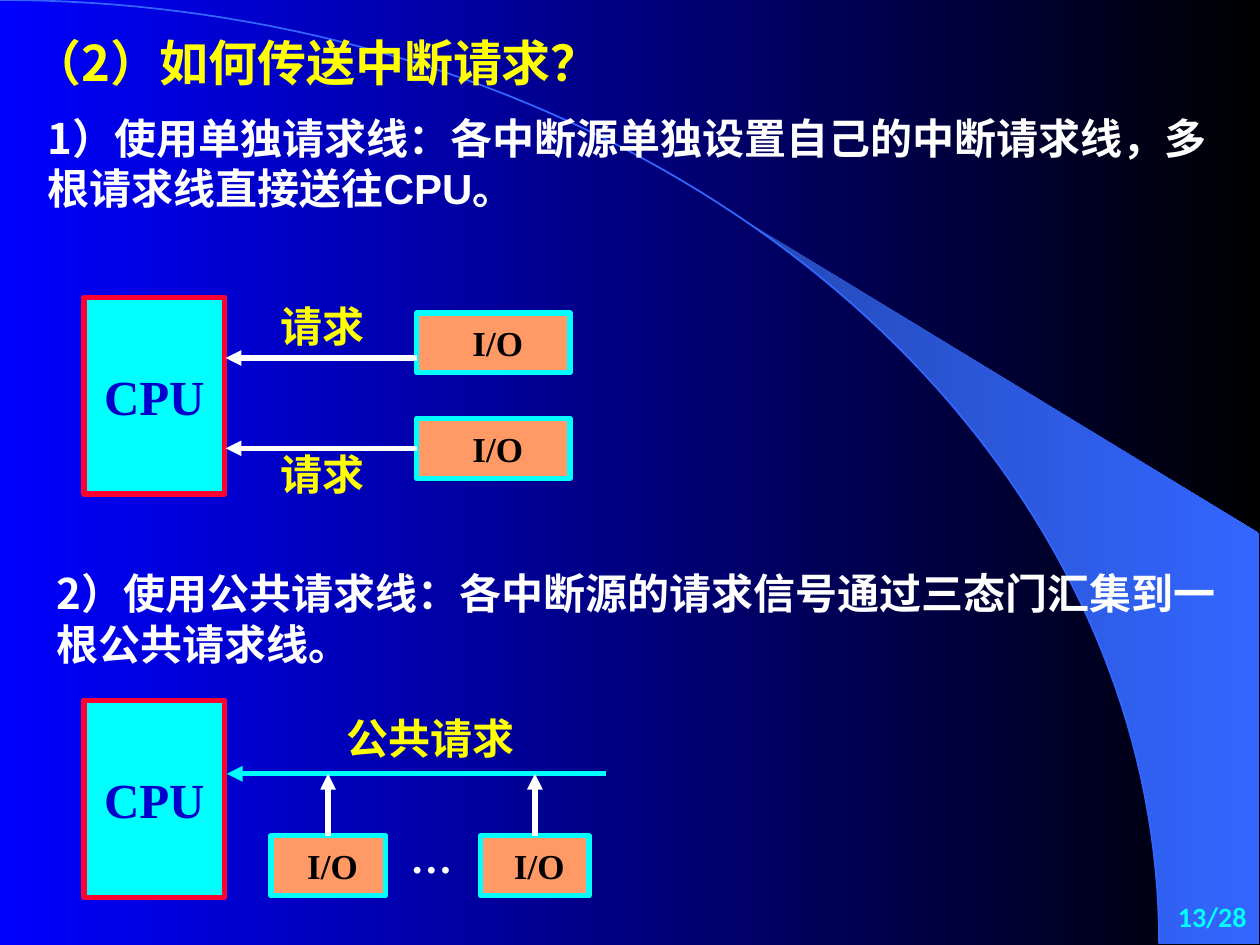
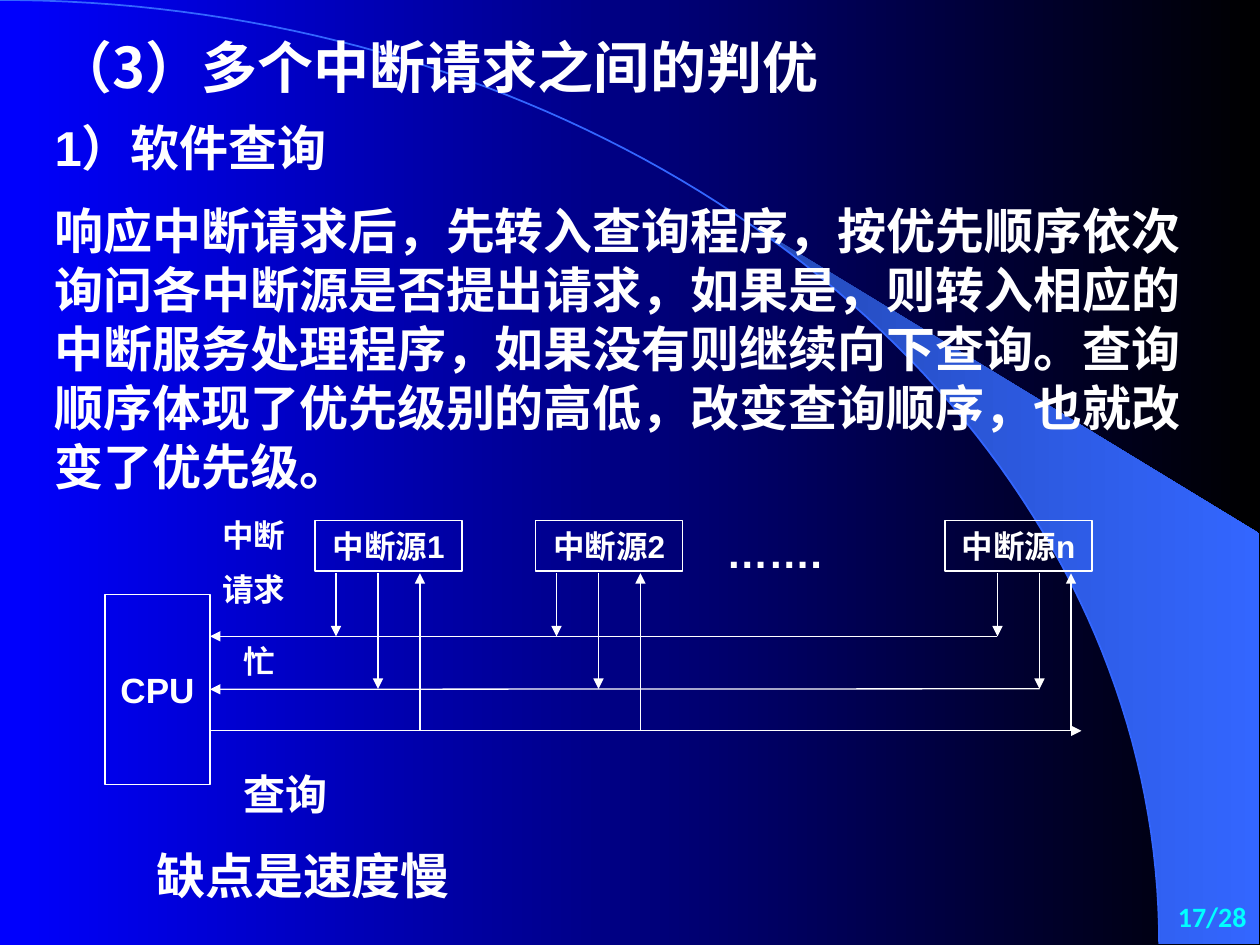
"""Builds two slides on sending interrupt requests and ranking them."""
import dataclasses
import math
from typing import Optional

import lxml.etree
import pptx
import pptx.dml.color
import pptx.enum.shapes
import pptx.enum.text
import pptx.oxml.ns
import pptx.util

COLUMNS, ROWS = 120, 90
UNIT = pptx.util.Inches(10) / COLUMNS
WHITE, YELLOW, CYAN, BLACK = "FFFFFF", "FFFF00", "00FFFF", "000000"
RED, ORANGE, NAVY, SKY = "FF0033", "FF9966", "0000CC", "3366FF"
CJK, SANS, SERIF = "Noto Sans CJK SC", "Arial", "Times New Roman"
LEFT = pptx.enum.text.PP_ALIGN.LEFT
CENTER = pptx.enum.text.PP_ALIGN.CENTER
RIGHT = pptx.enum.text.PP_ALIGN.RIGHT
TOP_SIDE, LEFT_SIDE, RIGHT_SIDE = 0, 1, 3
ARC_WIDTH, ARC_HEIGHT = 110.4, 89.9


@dataclasses.dataclass(frozen=True)
class TextStyle:
    """How a text looks."""
    size: float
    font: str = SANS
    color: str = WHITE
    align: pptx.enum.text.PP_ALIGN = LEFT


@dataclasses.dataclass(frozen=True)
class Label:
    """A text area given in columns and rows; lead is an opening run in CJK type."""
    left: float
    top: float
    width: float
    height: float
    paragraphs: tuple[str, ...]
    style: TextStyle
    lead: str = ""


@dataclasses.dataclass(frozen=True)
class BoxStyle:
    """Fill, outline and text of a diagram box."""
    text: TextStyle
    line: str
    weight: float
    fill: Optional[str] = None


@dataclasses.dataclass(frozen=True)
class Box:
    """A captioned rectangle given in columns and rows."""
    left: float
    top: float
    width: float
    height: float
    caption: str
    style: BoxStyle


REQUEST = TextStyle(24, SERIF, YELLOW, CENTER)
POINT = TextStyle(24)
BODY = TextStyle(28)
SMALL = TextStyle(18)
PAGE = TextStyle(16, "Calibri", CYAN, RIGHT)
CPU_STYLE = BoxStyle(TextStyle(28, SERIF, NAVY, CENTER), RED, 3, CYAN)
IO_STYLE = BoxStyle(TextStyle(20, SERIF, BLACK, CENTER), CYAN, 3, ORANGE)
PLAIN_CPU = BoxStyle(TextStyle(20, align=CENTER), WHITE, 0.75)
PLAIN_SOURCE = BoxStyle(TextStyle(18, align=CENTER), WHITE, 0.75)


def grid(length: float) -> pptx.util.Emu:
    """Turn grid columns or rows into a length."""
    return pptx.util.Emu(round(length * UNIT))


def rgb(color: str) -> pptx.dml.color.RGBColor:
    """Turn a hex string into a colour."""
    return pptx.dml.color.RGBColor.from_string(color)


def fill_gradient(fill, first: str, last: str) -> None:
    """Fill from left to right between two colours."""
    fill.gradient()
    fill.gradient_angle = 0
    for stop, position, color in zip(fill.gradient_stops, (0, 1), (first, last)):
        stop.position = position
        stop.color.rgb = rgb(color)


def style_run(run, style: TextStyle, font: str) -> None:
    """Give a run its type."""
    run.font.name = font
    run.font.size = pptx.util.Pt(style.size)
    run.font.bold = True
    run.font.color.rgb = rgb(style.color)
    if any(character >= "一" for character in run.text):
        east_asian = pptx.oxml.ns.qn("a:ea")
        lxml.etree.SubElement(run._r.get_or_add_rPr(), east_asian, typeface=CJK)


def write(shape, paragraphs: tuple[str, ...], style: TextStyle, lead: str = "") -> None:
    """Write styled paragraphs into a shape."""
    frame = shape.text_frame
    frame.text = "\n".join(paragraphs)
    for index, paragraph in enumerate(frame.paragraphs):
        if shape.is_placeholder:
            properties = paragraph._p.get_or_add_pPr()
            properties.set("marL", "0")
            properties.set("indent", "0")
            lxml.etree.SubElement(properties, pptx.oxml.ns.qn("a:buNone"))
        paragraph.alignment = style.align
        paragraph.line_spacing = pptx.util.Pt(style.size * 1.2)
        paragraph.space_before = pptx.util.Pt(style.size / 2 if index else 0)
        fonts = [style.font]
        if lead and index == 0:
            rest = paragraph.text
            paragraph.text = lead
            paragraph.add_run().text = rest
            fonts = [CJK, style.font]
        for run, font in zip(paragraph.runs, fonts):
            style_run(run, style, font)


def draw_label(slide, label: Label, placeholder=None) -> None:
    """Place a text, in a placeholder when one is given."""
    area = [grid(value) for value in (label.left, label.top, label.width, label.height)]
    shape = placeholder
    if shape is None:
        shape = slide.shapes.add_textbox(*area)
    else:
        shape.left, shape.top, shape.width, shape.height = area
    frame = shape.text_frame
    frame.word_wrap = True
    frame.auto_size = pptx.enum.text.MSO_AUTO_SIZE.NONE
    frame.vertical_anchor = pptx.enum.text.MSO_ANCHOR.TOP
    write(shape, label.paragraphs, label.style, label.lead)


def draw_box(slide, box: Box):
    """Draw a captioned rectangle."""
    shape = slide.shapes.add_shape(
        pptx.enum.shapes.MSO_SHAPE.RECTANGLE,
        *[grid(value) for value in (box.left, box.top, box.width, box.height)])
    shape.shadow.inherit = False
    if box.style.fill:
        shape.fill.solid()
        shape.fill.fore_color.rgb = rgb(box.style.fill)
    else:
        shape.fill.background()
    shape.line.color.rgb = rgb(box.style.line)
    shape.line.width = pptx.util.Pt(box.style.weight)
    shape.text_frame.word_wrap = False
    shape.text_frame.vertical_anchor = pptx.enum.text.MSO_ANCHOR.MIDDLE
    write(shape, (box.caption,), box.style.text)
    return shape


def draw_arrow(slide, start: tuple[float, float], tip: tuple[float, float],
               weight: float, color: str = WHITE):
    """Draw a straight arrow to its tip."""
    arrow = slide.shapes.add_connector(
        pptx.enum.shapes.MSO_CONNECTOR.STRAIGHT,
        *[grid(value) for value in (*start, *tip)])
    arrow.line.color.rgb = rgb(color)
    arrow.line.width = pptx.util.Pt(weight)
    qualify = pptx.oxml.ns.qn
    lxml.etree.SubElement(arrow.line._get_or_add_ln(), qualify("a:tailEnd"), type="triangle")
    lxml.etree.SubElement(arrow._element.spPr, qualify("a:effectLst"))
    return arrow


def arc_points(first: float, steps: int) -> list[tuple[float, float]]:
    """Give points on the background arc from an angle to its lower end."""
    angles = [first + (math.pi / 2 - first) * step / steps for step in range(steps + 1)]
    return [(ARC_WIDTH * math.sin(angle), ARC_HEIGHT * (1 - math.cos(angle)))
            for angle in angles]


def draw_outline(slide, points: list[tuple[float, float]], close: bool):
    """Draw a freeform through grid points."""
    places = [(grid(x), grid(y)) for x, y in points]
    builder = slide.shapes.build_freeform(*places[0])
    builder.add_line_segments(places[1:], close=close)
    shape = builder.convert_to_shape()
    shape.shadow.inherit = False
    return shape


def decorate_master(presentation, slide) -> None:
    """Give the master its gradient, crescent and arc."""
    master = presentation.slide_master
    fill_gradient(master.background.fill, "0000FF", BLACK)
    corners = [(119.9, ARC_HEIGHT), (119.9, 50.8)]
    crescent = draw_outline(slide, arc_points(math.asin(0.64), 40) + corners, True)
    fill_gradient(crescent.fill, "2449B6", SKY)
    crescent.line.fill.background()
    arc = draw_outline(slide, arc_points(0, 80), False)
    arc.fill.background()
    arc.line.color.rgb = rgb(SKY)
    arc.line.width = pptx.util.Pt(1)
    for position, shape in enumerate((crescent, arc), start=2):
        master.shapes.element.insert(position, shape._element)


def add_slide(presentation, title: Label, body: Label, page: str):
    """Add a slide with its title, body and page number."""
    slide = presentation.slides.add_slide(presentation.slide_layouts[1])
    draw_label(slide, title, slide.shapes.title)
    draw_label(slide, body, slide.placeholders[1])
    draw_label(slide, Label(107.3, 85.1, 12.6, 4.7, (page,), PAGE))
    return slide


def build_request_lines(presentation):
    """Build the slide on separate and shared request lines."""
    slide = add_slide(
        presentation,
        Label(1.92, 2.5, 76, 6.84, ("（2）如何传送中断请求？",), TextStyle(28, CJK, YELLOW)),
        Label(3.36, 10.1, 113, 10.9,
              ("各中断源单独设置自己的中断请求线，多根请求线直接送往CPU。",),
              POINT, "1）使用单独请求线："),
        "13/28")
    draw_label(slide, Label(4.2, 53.5, 113, 10.9,
                            ("各中断源的请求信号通过三态门汇集到一根公共请求线。",),
                            POINT, "2）使用公共请求线："))
    for top in (28.3, 66.7):
        draw_box(slide, Box(8, top, 13.4, 18.75, "CPU", CPU_STYLE))

    upper, lower = [draw_box(slide, Box(39.7, top, 14.6, 5.7, " I/O", IO_STYLE))
                    for top in (29.8, 39.85)]
    draw_arrow(slide, (39.7, 34.1), (21.5, 34.1), 3)
    draw_arrow(slide, (39.7, 42.7), (21.5, 42.7), 3).begin_connect(lower, LEFT_SIDE)
    for top in (28, 42.1):
        draw_label(slide, Label(23.2, top, 15, 6, ("请求",), REQUEST))

    bus = 73.7
    draw_arrow(slide, (57.7, bus), (21.6, bus), 3, CYAN)
    draw_label(slide, Label(31.8, 67.3, 24.1, 6, ("公共请求",),
                            TextStyle(24, SERIF, YELLOW)))
    for left, width in ((25.8, 10.9), (45.8, 10.3)):
        device = draw_box(slide, Box(left, 79.6, width, 5.7, " I/O", IO_STYLE))
        middle = left + width / 2
        draw_arrow(slide, (middle, 79.6), (middle, bus), 3).begin_connect(device, TOP_SIDE)
    draw_label(slide, Label(37.9, 78.6, 6.4, 6, ("…",), TextStyle(24, SERIF)))
    return slide


def build_software_polling(presentation) -> None:
    """Build the slide on ranking requests by software polling."""
    slide = add_slide(
        presentation,
        Label(4.2, 2.5, 81.4, 7.6, ("（3）多个中断请求之间的判优",), TextStyle(32, CJK)),
        Label(4, 10.6, 111, 37.9, (
            "1）软件查询",
            "响应中断请求后，先转入查询程序，按优先顺序依次询问各中断源是否提出请求，"
            "如果是，则转入相应的中断服务处理程序，如果没有则继续向下查询。"
            "查询顺序体现了优先级别的高低，改变查询顺序，也就改变了优先级。"), BODY),
        "17/28")
    thin = 0.75
    request, busy, query, port = 60.6, 65.6, 69.6, 54.6
    cpu = draw_box(slide, Box(10, 56.6, 10, 18.1, "CPU", PLAIN_CPU))
    draw_arrow(slide, (95, request), (20, request), thin)
    draw_arrow(slide, (99, busy), (20, busy), thin).end_connect(cpu, RIGHT_SIDE)
    draw_arrow(slide, (20, query), (103, query), thin)
    for left, name, query_offset in ((30, "1", 10), (51, "2", 10), (90, "n", 12)):
        draw_box(slide, Box(left, 49.6, 14, 4.8, "中断源" + name, PLAIN_SOURCE))
        first = left + 2 if name != "n" else left + 5
        last = left + query_offset
        draw_arrow(slide, (first, port), (first, request), thin)
        draw_arrow(slide, (first + 4, port), (first + 4, busy), thin)
        draw_arrow(slide, (last, query), (last, port), thin)
    for label in (
            Label(68, 49.6, 17, 6, ("…….",), POINT),
            Label(20, 48.6, 12, 10.3, ("中断", "请求"), SMALL),
            Label(22, 60.6, 11, 4.8, ("忙",), SMALL),
            Label(22, 72.6, 20, 4.8, ("查询",), POINT),
            Label(13.7, 79.9, 34, 6.8, ("缺点是速度慢",), BODY)):
        draw_label(slide, label)


def main() -> None:
    """Build and save the presentation."""
    presentation = pptx.Presentation()
    presentation.slide_width = grid(COLUMNS)
    presentation.slide_height = grid(ROWS)
    first_slide = build_request_lines(presentation)
    decorate_master(presentation, first_slide)
    build_software_polling(presentation)
    presentation.save("out.pptx")


if __name__ == "__main__":
    main()
